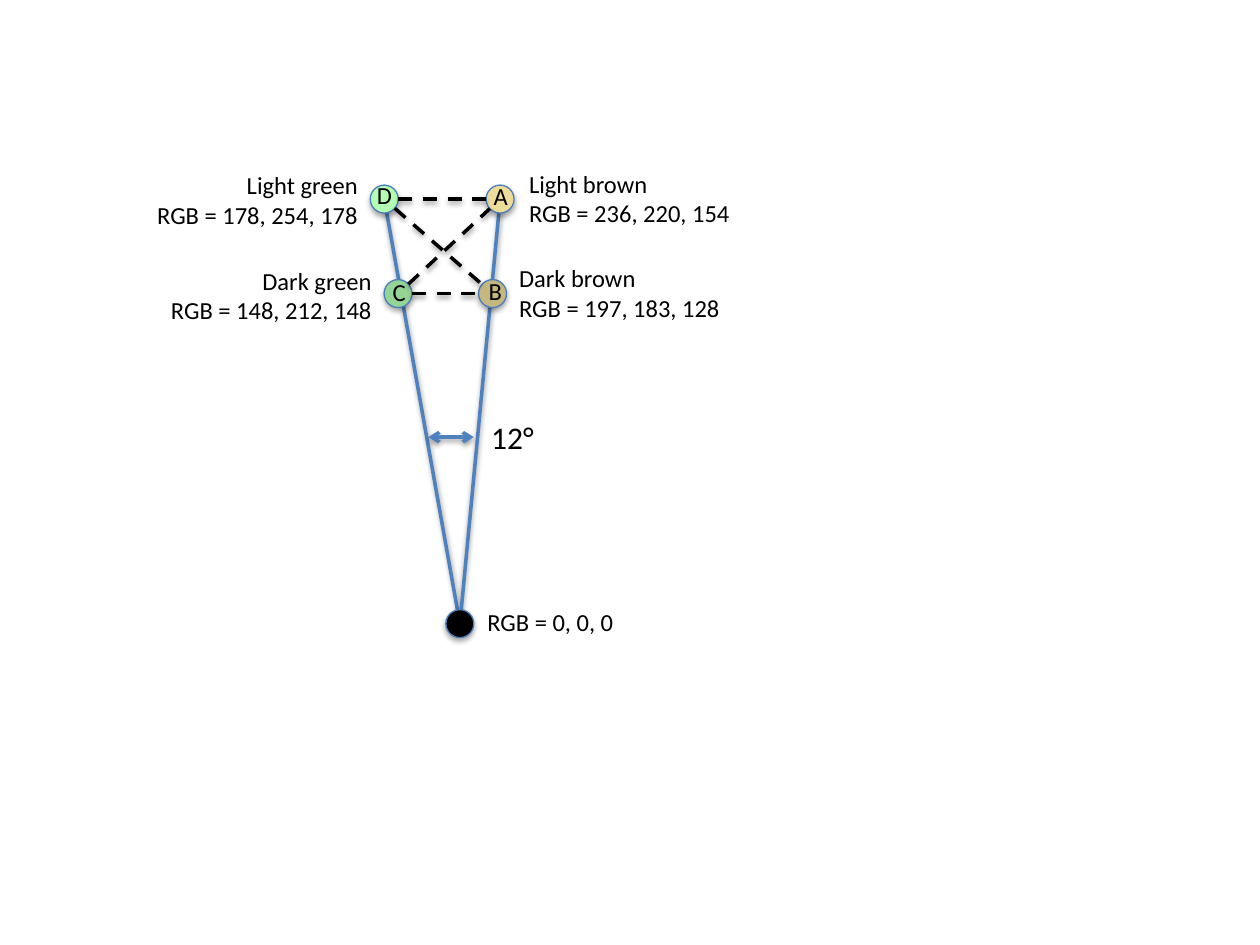
import math

import pptx
import pptx.dml.color
import pptx.enum.dml
import pptx.enum.shapes
import pptx.enum.text
import pptx.oxml
import pptx.oxml.ns
import pptx.util

Pt = pptx.util.Pt
RGBColor = pptx.dml.color.RGBColor
PP_ALIGN = pptx.enum.text.PP_ALIGN

BLACK = RGBColor(0, 0, 0)
BLUE = RGBColor(0x4F, 0x81, 0xBD)
OUTLINE = RGBColor(0x4B, 0x7E, 0xBC)
LIGHT_GREEN = RGBColor(178, 254, 178)
DARK_GREEN = RGBColor(148, 212, 148)
LIGHT_BROWN = RGBColor(236, 220, 154)
DARK_BROWN = RGBColor(197, 183, 128)

RADIUS = 8
CAPTION_WIDTH, CAPTION_HEIGHT = 130.3, 41
LETTER_WIDTH, LETTER_HEIGHT = 23, 24.5
ORIGIN = (182.8, 266.4)

# letter: centre, colour, name, letter shift, caption gap, caption rise, alignment
NODES = {
    "D": ((139.6, 23.8), LIGHT_GREEN, "Light green", (0, -2.2), 8, 20, PP_ALIGN.RIGHT),
    "C": ((147.5, 77.8), DARK_GREEN, "Dark green", (0, -0.7), 8, 19.4, PP_ALIGN.RIGHT),
    "A": ((205.8, 23.8), LIGHT_BROWN, "Light brown", (0, -1.4), 9.4, 20.9, PP_ALIGN.LEFT),
    "B": ((201.5, 77.8), DARK_BROWN, "Dark brown", (1, -1.4), 8, 20.9, PP_ALIGN.LEFT),
}
DASHED_PAIRS = ("DB", "CA", "CB", "DA")


def add_shadow(shape, distance, opacity):
    """Give a shape or connector a soft shadow straight below it."""
    effects = pptx.oxml.parse_xml(
        f'<a:effectLst {pptx.oxml.ns.nsdecls("a")}>'
        f'<a:outerShdw blurRad="{Pt(3.1)}" dist="{Pt(distance)}" dir="5400000" rotWithShape="0">'
        f'<a:srgbClr val="000000"><a:alpha val="{opacity * 1000}"/></a:srgbClr>'
        "</a:outerShdw></a:effectLst>")
    shape.element.spPr.append(effects)


def add_line(slide, box, start, end, color, dashed=False, arrows=False):
    """Draw a straight line between two points of the box."""
    left, top = box
    line = slide.shapes.add_connector(
        pptx.enum.shapes.MSO_CONNECTOR.STRAIGHT,
        Pt(left + start[0]), Pt(top + start[1]), Pt(left + end[0]), Pt(top + end[1]))
    line.line.color.rgb = color
    line.line.width = Pt(2)
    if dashed:
        line.line.dash_style = pptx.enum.dml.MSO_LINE.DASH
    if arrows:
        for tag in ("headEnd", "tailEnd"):
            line.line._get_or_add_ln().append(pptx.oxml.parse_xml(
                f'<a:{tag} {pptx.oxml.ns.nsdecls("a")} type="arrow"/>'))
    add_shadow(line, 1.6, 38)


def add_circle(slide, box, center, color):
    """Draw one colour point around its centre."""
    circle = slide.shapes.add_shape(
        pptx.enum.shapes.MSO_SHAPE.OVAL,
        Pt(box[0] + center[0] - RADIUS), Pt(box[1] + center[1] - RADIUS),
        Pt(2 * RADIUS), Pt(2 * RADIUS))
    circle.fill.solid()
    circle.fill.fore_color.rgb = color
    circle.line.color.rgb = OUTLINE
    circle.line.width = Pt(0.75)
    add_shadow(circle, 1.8, 35)


def add_label(slide, box, position, size, lines, align=PP_ALIGN.LEFT, font_size=14):
    """Write lines of text in an unwrapped text box."""
    label = slide.shapes.add_textbox(
        Pt(box[0] + position[0]), Pt(box[1] + position[1]), Pt(size[0]), Pt(size[1]))
    frame = label.text_frame
    frame.word_wrap = False
    frame.auto_size = pptx.enum.text.MSO_AUTO_SIZE.SHAPE_TO_FIT_TEXT
    for index, text in enumerate(lines):
        paragraph = frame.add_paragraph() if index else frame.paragraphs[0]
        paragraph.alignment = align
        run = paragraph.add_run()
        run.text = text
        run.font.name = "Calibri"
        run.font.size = Pt(font_size)
        run.font.color.rgb = BLACK


def rgb_text(color):
    """Spell out a colour's three values."""
    return "RGB = " + ", ".join(str(value) for value in color)


def add_dashed_link(slide, box, start, end):
    """Join two circles with a dashed line from rim to rim."""
    share = RADIUS / math.dist(start, end)
    step = [(b - a) * share for a, b in zip(start, end)]
    add_line(slide, box, (start[0] + step[0], start[1] + step[1]),
             (end[0] - step[0], end[1] - step[1]), BLACK, dashed=True)


def add_node_text(slide, box, letter):
    """Write a node's letter and its caption."""
    (x, y), color, name, shift, gap, rise, align = NODES[letter]
    caption_left = x + gap if align == PP_ALIGN.LEFT else x - gap - CAPTION_WIDTH
    add_label(slide, box, (caption_left, y - rise), (CAPTION_WIDTH, CAPTION_HEIGHT),
              (name, rgb_text(color)), align)
    add_label(slide, box,
              (x + shift[0] - LETTER_WIDTH / 2, y + shift[1] - LETTER_HEIGHT / 2),
              (LETTER_WIDTH, LETTER_HEIGHT), (letter,), PP_ALIGN.RIGHT)


def add_color_diagram(slide, box):
    """Draw the colour directions from black, with their angle and links."""
    for letter in "DA":
        add_line(slide, box, NODES[letter][0], ORIGIN, BLUE)
    for center, color, *_ in NODES.values():
        add_circle(slide, box, center, color)
    add_line(slide, box, (164.8, 159.8), (190.7, 159.8), BLUE, arrows=True)
    add_label(slide, box, (193.6, 145.4), (38.9, 29), ("12°",), font_size=18)
    add_circle(slide, box, ORIGIN, BLACK)
    for first, second in DASHED_PAIRS:
        add_dashed_link(slide, box, NODES[first][0], NODES[second][0])
    for letter in NODES:
        add_node_text(slide, box, letter)
    add_label(slide, box, (191.4, 253.4), (87, LETTER_HEIGHT), (rgb_text(BLACK),))


def main():
    """Build and save the presentation."""
    presentation = pptx.Presentation()
    presentation.slide_width = Pt(720)
    presentation.slide_height = Pt(540)
    slide = presentation.slides.add_slide(presentation.slide_layouts[6])
    add_color_diagram(slide, (80, 90))
    presentation.save("out.pptx")


main()
